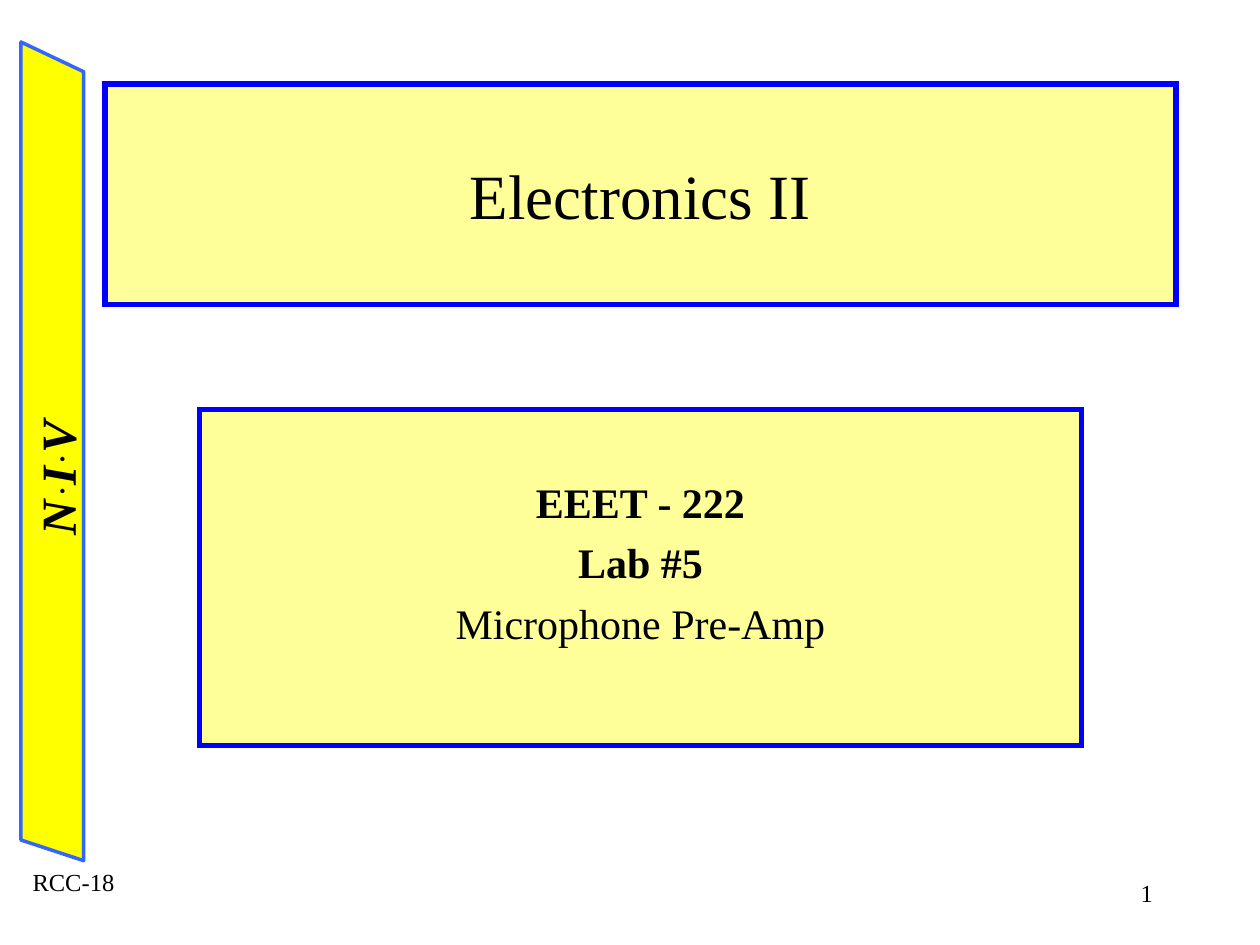
from lxml import etree
from pptx import Presentation
from pptx.dml.color import RGBColor
from pptx.enum.shapes import MSO_SHAPE
from pptx.enum.text import MSO_ANCHOR, PP_ALIGN
from pptx.oxml.ns import qn
from pptx.util import Pt

RECTANGLE = MSO_SHAPE.RECTANGLE
TOP, MIDDLE = MSO_ANCHOR.TOP, MSO_ANCHOR.MIDDLE
LEFT, CENTER, RIGHT = PP_ALIGN.LEFT, PP_ALIGN.CENTER, PP_ALIGN.RIGHT
SERIF, SANS = "Times New Roman", "Arial"
BLACK, YELLOW, PALE_YELLOW = "000000", "FFFF00", "FFFF99"
BLUE, LIGHT_BLUE = "0000FF", "3366FF"


def color(hex_code):
    return RGBColor.from_string(hex_code)


def paint(shape, fill, line, width):
    shape.shadow.inherit = False
    shape.fill.solid()
    shape.fill.fore_color.rgb = color(fill)
    shape.line.color.rgb = color(line)
    shape.line.width = Pt(width)


def add_span(para, text, size, font=SERIF, bold=False, italic=False, baseline=0):
    """Add one run; baseline raises it by a percentage of its size."""
    span = para.add_run()
    span.text = text
    span.font.name = font
    span.font.size = Pt(size)
    span.font.bold = bold
    span.font.italic = italic
    span.font.color.rgb = color(BLACK)
    if baseline:
        span.font._element.set("baseline", str(baseline * 1000))


def add_text_box(page, left, top, width, height, align, anchor):
    """Add an empty text box and return it with its first paragraph."""
    box = page.shapes.add_textbox(Pt(left), Pt(top), Pt(width), Pt(height))
    box.text_frame.word_wrap = True
    box.text_frame.vertical_anchor = anchor
    para = box.text_frame.paragraphs[0]
    para.alignment = align
    return box, para


def add_panel(page, left, top, width, height, lines, size, anchor, inset=3.6):
    """Add a framed box of centred (text, bold) lines."""
    panel = page.shapes.add_shape(RECTANGLE, Pt(left), Pt(top), Pt(width), Pt(height))
    paint(panel, PALE_YELLOW, BLUE, 3)
    etree.SubElement(panel.line._get_or_add_ln(), qn("a:miter"), lim="800000")
    frame = panel.text_frame
    frame.word_wrap = True
    frame.vertical_anchor = anchor
    frame.margin_top = Pt(inset)
    for index, (text, bold) in enumerate(lines):
        para = frame.add_paragraph() if index else frame.paragraphs[0]
        para.alignment = CENTER
        para.space_before = Pt(6 if index else 0)
        add_span(para, text, size, bold=bold)


def add_banner(page):
    corners = [(47.8, 41), (12, 24), (12, 480), (47.8, 491.8)]
    start, *others = [(Pt(x), Pt(y)) for x, y in corners]
    builder = page.shapes.build_freeform(*start)
    builder.add_line_segments(others, close=True)
    paint(builder.convert_to_shape(), YELLOW, LIGHT_BLUE, 2)


def add_banner_initials(page, initials):
    box, para = add_text_box(page, -25.2, 234.7, 115.2, 41, LEFT, TOP)
    box.rotation = 270
    for index, letter in enumerate(initials):
        if index:
            add_span(para, " ", 10, SANS, bold=True, italic=True)
            add_span(para, "● ", 10, SANS, baseline=60)
        add_span(para, letter, 28, bold=True, italic=True)


def add_footer(page, text, left, top, width, align):
    box, para = add_text_box(page, left, top, width, 36, align, MIDDLE)
    box.text_frame.margin_left = box.text_frame.margin_right = 0
    add_span(para, text, 14)


def main():
    deck = Presentation()
    deck.slide_width, deck.slide_height = Pt(720), Pt(540)
    page = deck.slides.add_slide(deck.slide_layouts[6])

    add_banner(page)
    add_banner_initials(page, "NIV")
    add_footer(page, "RCC-18", 12, 486, 60, CENTER)
    add_footer(page, "1", 516, 492, 142.8, RIGHT)
    add_panel(page, 60, 48, 612, 126, [("Electronics II", False)], 36, MIDDLE)
    course_lines = [("EEET - 222", True), ("Lab #5", True), ("Microphone Pre-Amp", False)]
    add_panel(page, 114, 234, 504, 192, course_lines, 24, TOP, inset=38)

    deck.save("out.pptx")


if __name__ == "__main__":
    main()
